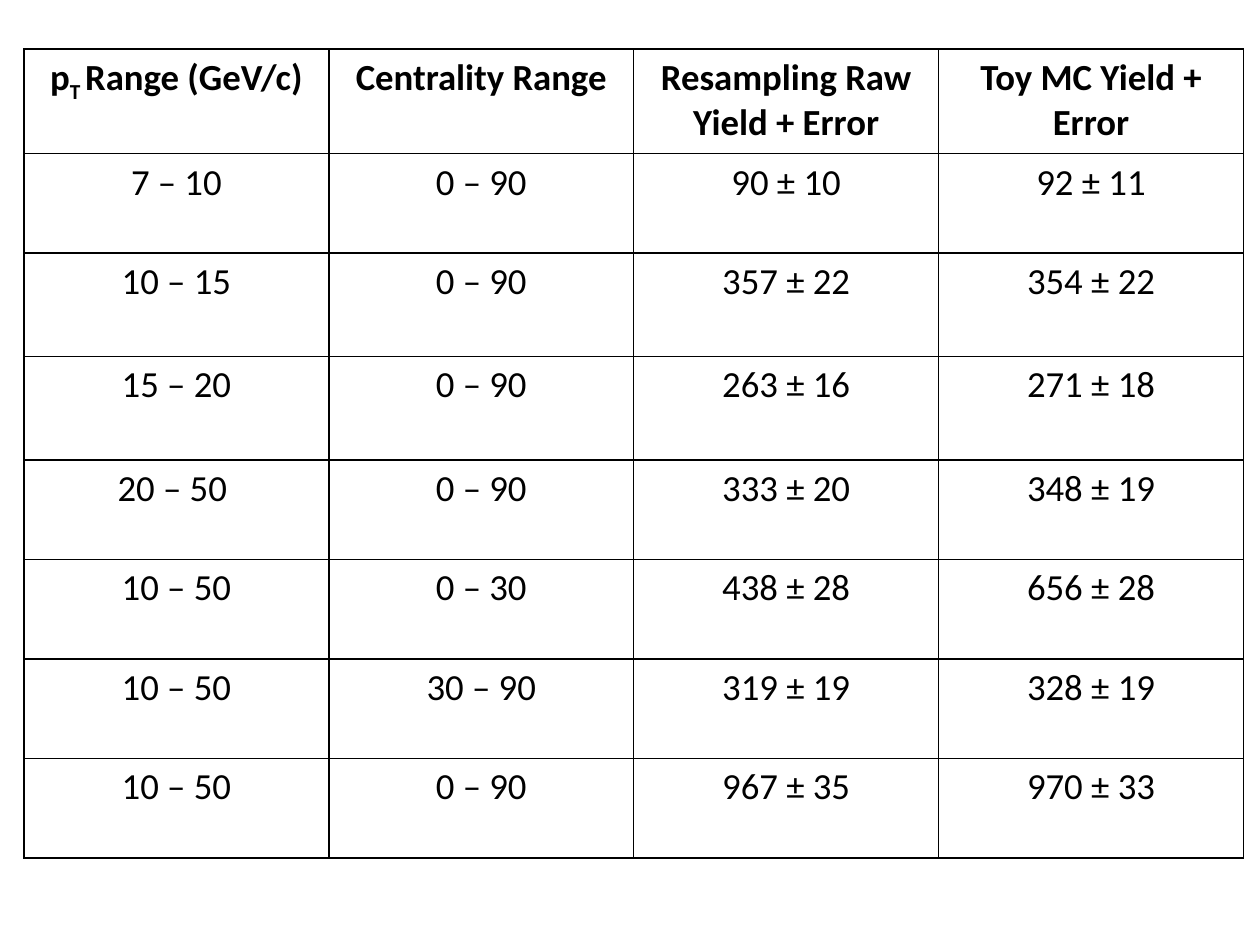
from dataclasses import dataclass

import lxml.etree
import pptx
import pptx.dml.color
import pptx.enum.text
import pptx.oxml.ns
import pptx.util

COLORS = {"ink": "000000"}
FONT, SIZE = "Calibri", 21
LEFT, TOP, COL = 0.19, 0.39, 2.42
HEAD, LOW, TALL = 0.83, 0.79, 0.82
TITLES = ("Centrality Range", "Resampling Raw Yield + Error", "Toy MC Yield + Error")


@dataclass
class Yield:
    range: str
    cent: str
    raw: str
    toy: str
    high: float = LOW

    def texts(self) -> tuple[str, ...]:
        return self.range, self.cent, self.raw, self.toy


YIELDS = [
    Yield("7 – 10", "0 – 90", "90 ± 10", "92 ± 11"),
    Yield("10 – 15", "0 – 90", "357 ± 22", "354 ± 22", TALL),
    Yield("15 – 20", "0 – 90", "263 ± 16", "271 ± 18", TALL),
    Yield("20 – 50 ", "0 – 90", "333 ± 20", "348 ± 19"),
    Yield("10 – 50", "0 – 30", "438 ± 28", "656 ± 28"),
    Yield("10 – 50", "30 – 90", "319 ± 19", "328 ± 19"),
    Yield("10 – 50", "0 – 90", "967 ± 35", "970 ± 33"),
]


def frame(cell) -> None:
    """Draw thin lines on all four sides and leave the cell clear."""
    qn = pptx.oxml.ns.qn
    props = cell._tc.get_or_add_tcPr()
    for side in ("lnL", "lnR", "lnT", "lnB"):
        line = lxml.etree.SubElement(props, qn("a:" + side), w=str(pptx.util.Pt(1)))
        fill = lxml.etree.SubElement(line, qn("a:solidFill"))
        lxml.etree.SubElement(fill, qn("a:srgbClr"), val=COLORS["ink"])
    cell.fill.background()


def write(cell, parts: tuple[str, ...], bold: bool) -> None:
    """Write centred text; every second part is a subscript."""
    para = cell.text_frame.paragraphs[0]
    para.alignment = pptx.enum.text.PP_ALIGN.CENTER
    font = para.font
    font.name, font.size, font.bold = FONT, pptx.util.Pt(SIZE), bold
    font.color.rgb = pptx.dml.color.RGBColor.from_string(COLORS["ink"])
    for spot, part in enumerate(parts):
        run = para.add_run()
        run.text = part
        if spot % 2:
            run._r.get_or_add_rPr().set("baseline", "-25000")


deck = pptx.Presentation()
deck.slide_width, deck.slide_height = pptx.util.Inches(10), pptx.util.Inches(7.5)
slide = deck.slides.add_slide(deck.slide_layouts[6])

# Table grid
highs = [HEAD] + [item.high for item in YIELDS]
cols = len(TITLES) + 1
box = [pptx.util.Inches(n) for n in (LEFT, TOP, COL * cols, sum(highs))]
table = slide.shapes.add_table(len(highs), cols, *box).table
table.first_row = table.horz_banding = False
for row, high in zip(table.rows, highs):
    row.height = pptx.util.Inches(high)

# Header and yields
header = [("p", "T ", "Range (GeV/c)")] + [(title,) for title in TITLES]
body = [[(text,) for text in item.texts()] for item in YIELDS]
for r, line in enumerate([header] + body):
    for c, parts in enumerate(line):
        frame(table.cell(r, c))
        write(table.cell(r, c), parts, bold=r == 0)

deck.save("out.pptx")
